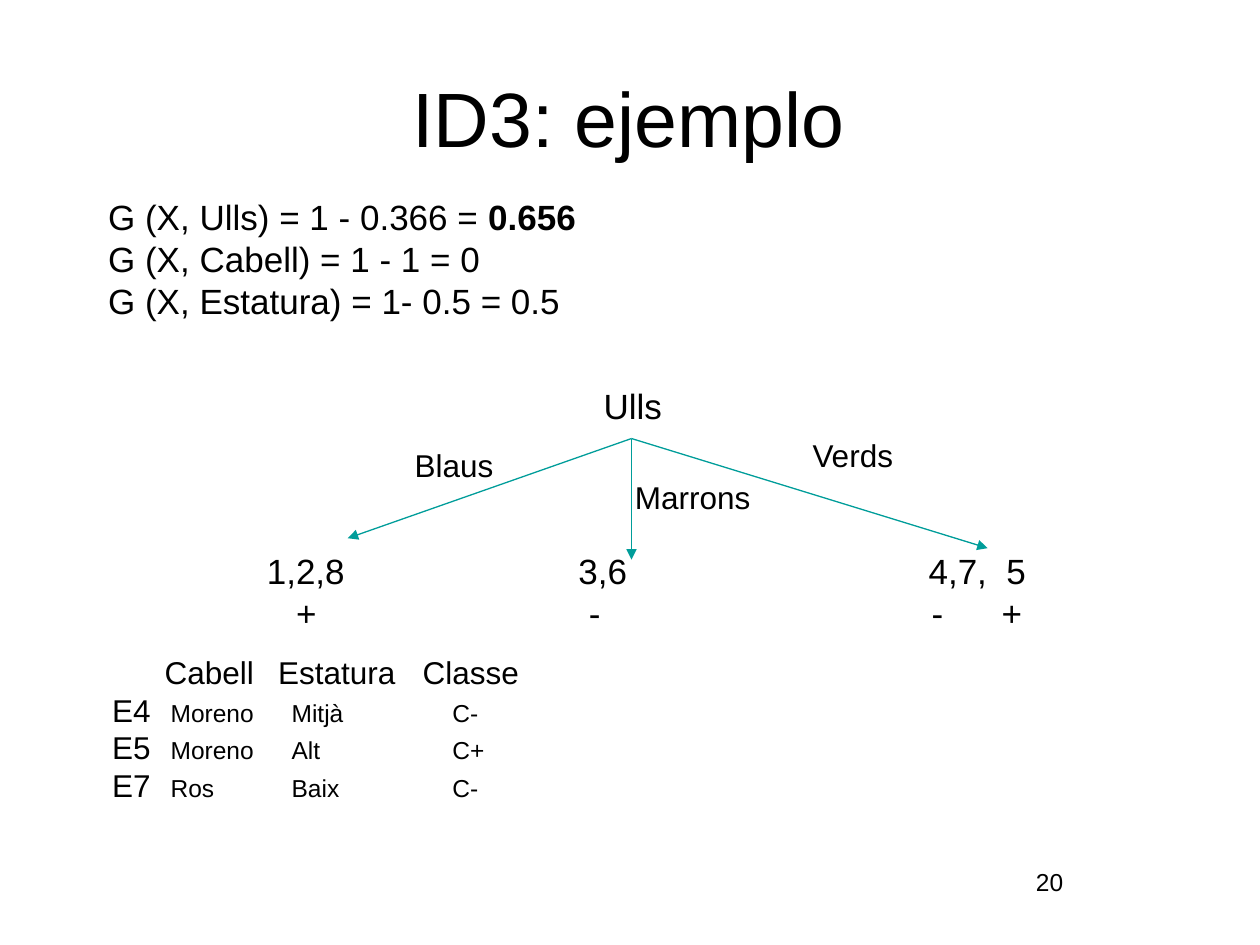
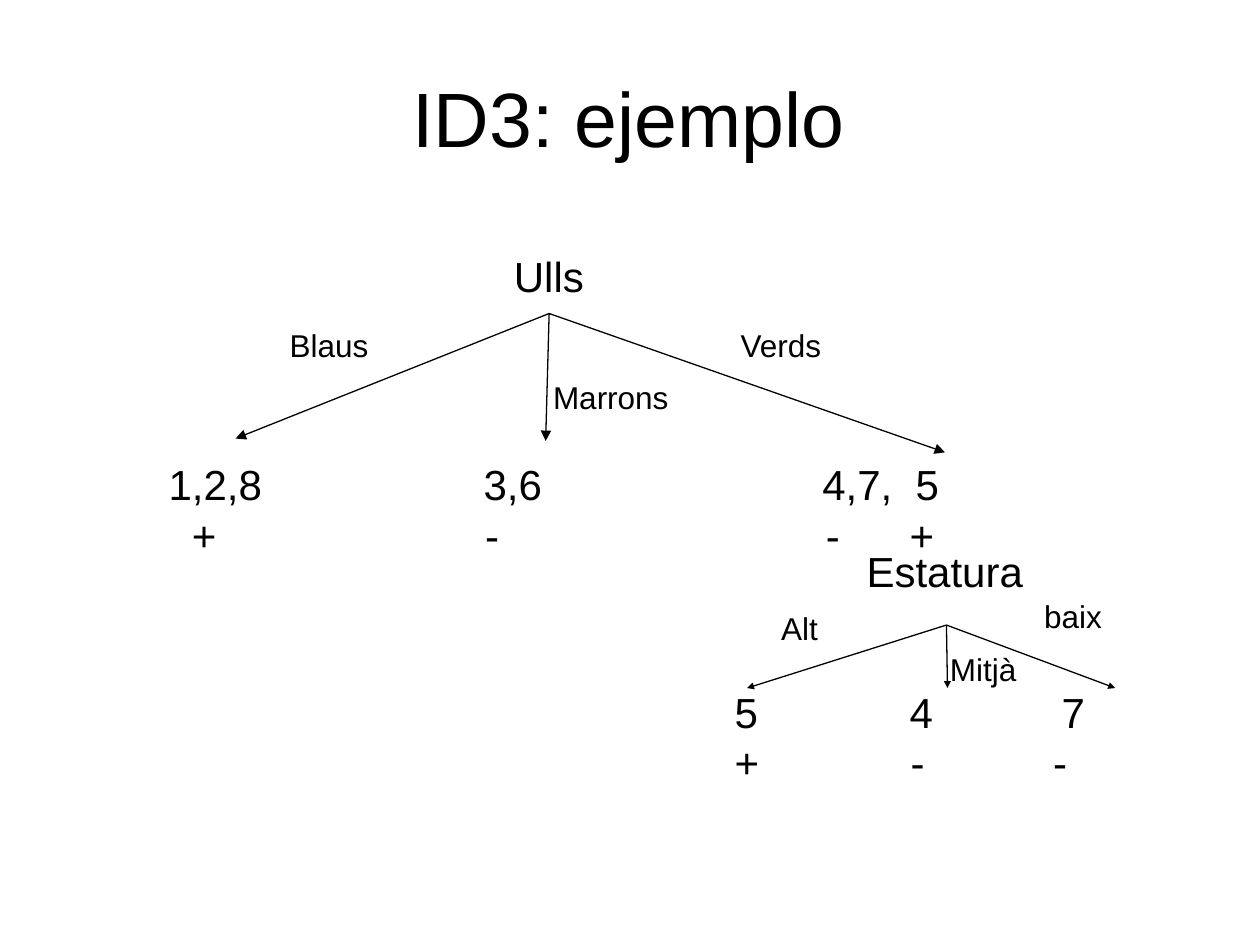
"""Build two slides of an ID3 decision tree example."""
from pptx import Presentation
from pptx.dml.color import RGBColor
from pptx.enum import shapes, text
from pptx.oxml.xmlchemy import OxmlElement
from pptx.util import Cm, Pt

FONT = "Arial"
BLACK = RGBColor(0x00, 0x00, 0x00)
TEAL = RGBColor(0x00, 0x9D, 0x9A)

TITLE = "ID3: ejemplo"
PAGE = "20"
GAINS = [
    [("G (X, Ulls) = 1 - 0.366 = ", {}), ("0.656", {"bold": True})],
    "G (X, Cabell) = 1 - 1 = 0",
    "G (X, Estatura) = 1- 0.5 = 0.5",
]
HEADER = ["Cabell", "Estatura", "Classe"]
EXAMPLES = [
    ("E4", ["Moreno", "Mitjà", "C-"]),
    ("E5", ["Moreno", "Alt", "C+"]),
    ("E7", ["Ros", "Baix", "C-"]),
]
HEADER_TABS = (1.06, 3.35, 6.26)
EXAMPLE_TABS = (1.18, 3.62, 6.86)

EYE_LEAVES = ["1,2,8\t3,6\t4,7,\t5", "\t+\t-\t-\t+"]
HEIGHT_LEAVES = ["5\t4\t7", "+\t-\t-"]

EYES_SMALL = {
    "name": "Ulls", "name_at": (12.07, 7.75), "size": 20, "color": TEAL,
    "root": (12.73, 8.84), "head": "med",
    "branches": [
        ("Blaus", (8.26, 8.99), (7.01, 10.85)),
        ("Marrons", (12.7, 9.63), (12.73, 11.28)),
        ("Verds", (16.28, 8.79), (19.91, 11.05)),
    ],
    "leaves": EYE_LEAVES, "leaves_at": (5.28, 11.07),
    "tabs": [(6.28, 13.34, 14.91), (0.59, 6.49, 13.4, 14.81)],
}
EYES_LARGE = {
    "name": "Ulls", "name_at": (10.26, 5.05), "size": 24, "color": BLACK,
    "root": (11.07, 6.32), "head": "med",
    "branches": [
        ("Blaus", (5.74, 6.58), (4.75, 8.84)),
        ("Marrons", (11.05, 7.62), (11, 8.89)),
        ("Verds", (14.83, 6.58), (19.05, 9.12)),
    ],
    "leaves": EYE_LEAVES, "leaves_at": (3.3, 9.25),
    "tabs": [(6.35, 13.18, 15.06), (0.47, 6.38, 13.25, 14.94)],
}
HEIGHT = {
    "name": "Estatura", "name_at": (17.37, 11), "size": 24, "color": BLACK,
    "root": (19.08, 12.6), "head": "sm",
    "branches": [
        ("Alt", (15.65, 12.27), (15.06, 13.87)),
        ("Mitjà", (19.05, 13.11), (19.1, 13.87)),
        ("baix", (20.95, 12.04), (22.48, 13.87)),
    ],
    "leaves": HEIGHT_LEAVES, "leaves_at": (14.71, 13.84),
    "tabs": [(3.53, 6.59), (3.55, 6.42)],
}


def set_tabs(p, stops):
    """Give a paragraph left tab stops, in centimetres."""
    tabs = OxmlElement("a:tabLst")
    for stop in stops:
        tab = OxmlElement("a:tab")
        tab.set("pos", str(int(Cm(stop))))
        tab.set("algn", "l")
        tabs.append(tab)
    p._p.get_or_add_pPr().append(tabs)


def add_text(s, rows, at, w, h, size=18, align=text.PP_ALIGN.LEFT,
             anchor=text.MSO_ANCHOR.TOP, tabs=()):
    """Add a text box whose rows are strings or lists of (text, format)."""
    tf = s.shapes.add_textbox(Cm(at[0]), Cm(at[1]), Cm(w), Cm(h)).text_frame
    tf.word_wrap = True
    tf.vertical_anchor = anchor
    tf.margin_left = Cm(0.1)
    tf.margin_right = tf.margin_top = tf.margin_bottom = 0
    for i, row in enumerate(rows):
        p = tf.paragraphs[0] if i == 0 else tf.add_paragraph()
        p.alignment = align
        if tabs:
            set_tabs(p, tabs[i])
        for words, fmt in [(row, {})] if isinstance(row, str) else row:
            r = p.add_run()
            r.text = words
            r.font.name = FONT
            r.font.size = Pt(fmt.get("size", size))
            r.font.bold = fmt.get("bold", False)
            r.font.color.rgb = BLACK


def add_arrow(s, start, end, color, head):
    """Add a thin straight arrow."""
    ends = [Cm(v) for v in (*start, *end)]
    c = s.shapes.add_connector(shapes.MSO_CONNECTOR.STRAIGHT, *ends)
    c.line.color.rgb = color
    c.line.width = Pt(0.75)
    tail = OxmlElement("a:tailEnd")
    for key, value in (("type", "triangle"), ("w", head), ("len", head)):
        tail.set(key, value)
    c.line._get_or_add_ln().append(tail)
    c._element.spPr.append(OxmlElement("a:effectLst"))


def add_tree(s, tree):
    """Add a node name, its labelled branches and its leaves."""
    size = tree["size"]
    line = size * 0.042
    add_text(s, [tree["name"]], tree["name_at"], 4.5, line, size=size)
    add_text(s, tree["leaves"], tree["leaves_at"], tree["tabs"][0][-1] + 1,
             2 * line, size=size, tabs=tree["tabs"])
    for label, label_at, end in tree["branches"]:
        add_arrow(s, tree["root"], end, tree["color"], tree["head"])
        add_text(s, [label], label_at, 2.8, 0.76)


def add_slide(prs, trees):
    """Add a titled slide with its trees."""
    s = prs.slides.add_slide(prs.slide_layouts[6])
    add_text(s, [TITLE], (1.2, 0.25), 22.86, 4.19, size=44,
             align=text.PP_ALIGN.CENTER, anchor=text.MSO_ANCHOR.MIDDLE)
    for tree in trees:
        add_tree(s, tree)
    return s


def main():
    prs = Presentation()
    prs.slide_width, prs.slide_height = Cm(25.4), Cm(19.05)

    s = add_slide(prs, [EYES_SMALL])
    add_text(s, GAINS, (2.08, 3.94), 10.5, 2.54, size=20)
    rows = ["\t" + "\t".join(HEADER)]
    rows += [[(name, {}), ("\t" + "\t".join(values), {"size": 14})]
             for name, values in EXAMPLES]
    add_text(s, rows, (2.16, 13.16), 9, 3.05,
             tabs=[HEADER_TABS] + [EXAMPLE_TABS] * len(EXAMPLES))
    add_text(s, [PAGE], (20.68, 17.48), 0.86, 0.6, size=14,
             align=text.PP_ALIGN.CENTER)

    add_slide(prs, [EYES_LARGE, HEIGHT])
    prs.save("out.pptx")


if __name__ == "__main__":
    main()
